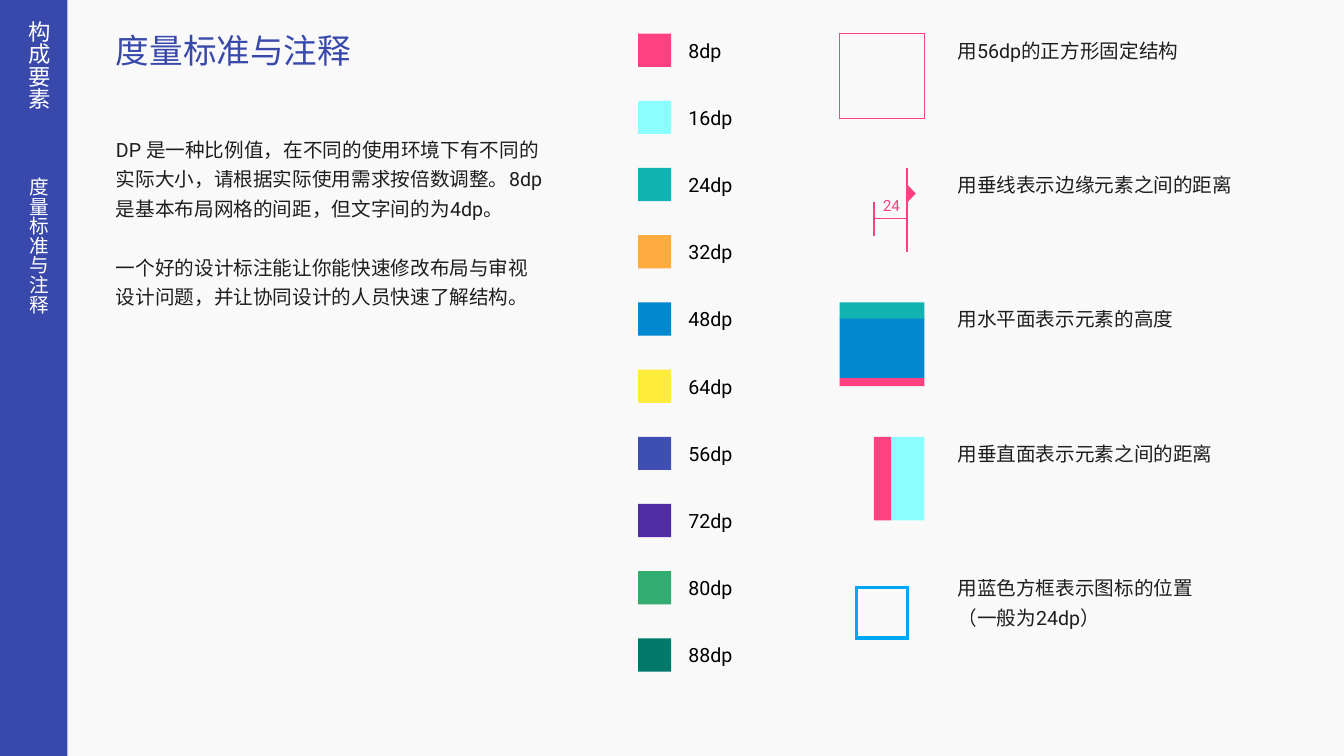
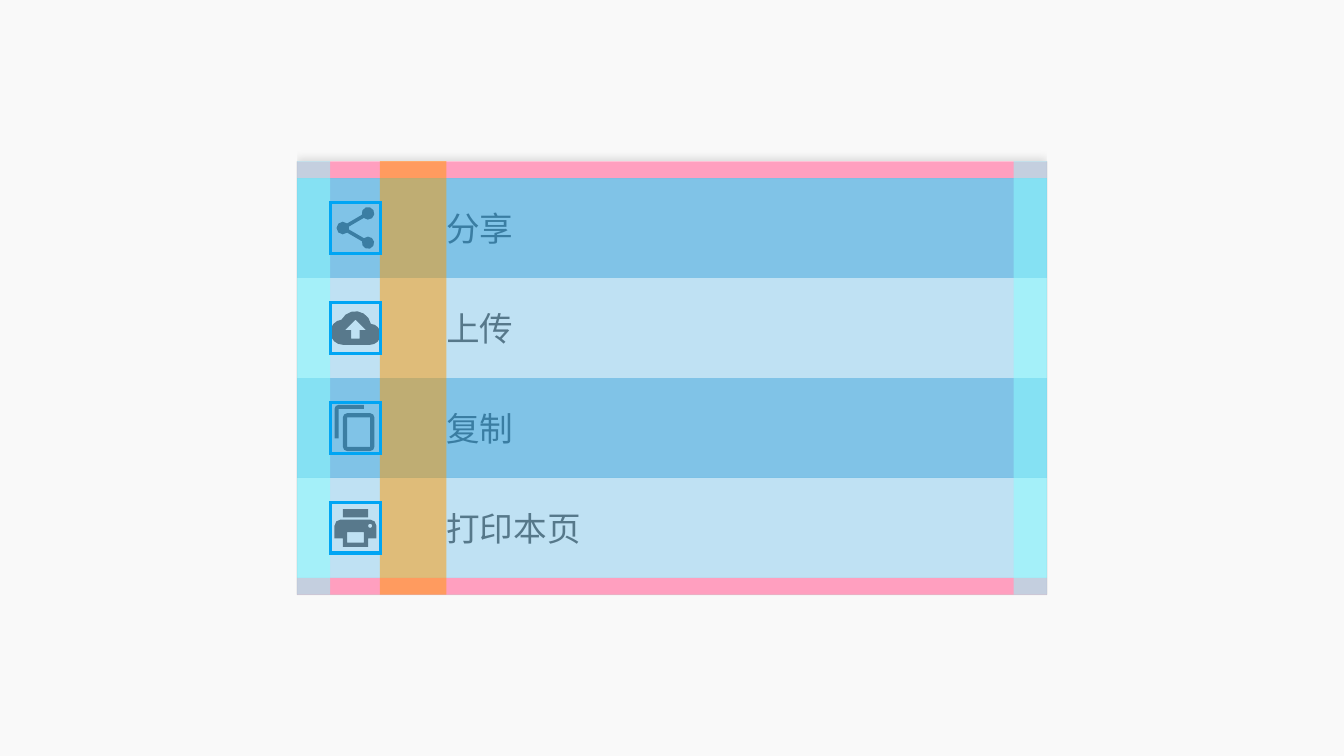
from dataclasses import dataclass
from math import ceil, cos, radians, sin

from lxml import etree
from pptx import Presentation
from pptx import util as u
from pptx.dml.color import RGBColor
from pptx.enum import shapes as kinds, text as te
from pptx.oxml.ns import qn

FACE = "Roboto"
PAPER, INK, WHITE = "F9F9F9", "000000", "FFFFFF"
INDIGO, PINK, CYAN, TEAL = "3949AB", "FF4081", "8BFFFF", "11B2B2"
BLUE, AMBER, FRAME = "0288D1", "FF9800", "00A5F4"
RECT = kinds.MSO_SHAPE.RECTANGLE
PITCH = u.Pt(21)
WIDE, HIGH = 40 / 3, 7.5  # slide, in inches
STEP = 2 / 3  # gap between swatches, in inches

Point = tuple[float, float]


@dataclass(frozen=True)
class Look:
    size: float
    color: str
    alpha: int = 100


@dataclass(frozen=True)
class Box:
    x: float
    y: float
    w: float
    h: float

    def place(self) -> list[int]:
        return [u.Inches(n) for n in (self.x, self.y, self.w, self.h)]


@dataclass(frozen=True)
class Item:
    label: str
    icon: list[list[Point]]


HEAD = Look(24, INDIGO)
BODY = Look(14, INK, 87)
LABEL = Look(14, INK)
MENU = Look(24, INK, 54)


def apply(target, values: dict) -> None:
    for name, value in values.items():
        setattr(target, name, value)


def paint(fill, color: str, alpha: int = 100) -> None:
    fill.solid()
    fill.fore_color.rgb = RGBColor.from_string(color)
    if alpha < 100:
        node = fill._xPr.find(qn("a:solidFill"))[0]
        etree.SubElement(node, qn("a:alpha"), val=str(alpha * 1000))


def write(frame, lines: list[str], look: Look, wrap: bool = False) -> None:
    apply(frame, {"word_wrap": wrap,
                  "auto_size": te.MSO_AUTO_SIZE.SHAPE_TO_FIT_TEXT,
                  "vertical_anchor": te.MSO_ANCHOR.TOP})
    for n, line in enumerate(lines):
        para = frame.paragraphs[0] if n == 0 else frame.add_paragraph()
        para.alignment = te.PP_ALIGN.LEFT
        run = para.add_run()
        run.text = line
        apply(run.font, {"name": FACE, "size": u.Pt(look.size)})
        paint(run.font.fill, look.color, look.alpha)
        etree.SubElement(run.font._element, qn("a:ea"), typeface=FACE)


def label(slide, box: Box, lines: list[str], look: Look, wrap: bool = False):
    shape = slide.shapes.add_textbox(*box.place())
    write(shape.text_frame, lines, look, wrap)
    return shape


def block(slide, box: Box, color: str, alpha: int = 100, kind=RECT):
    shape = slide.shapes.add_shape(kind, *box.place())
    shape.shadow.inherit = False
    paint(shape.fill, color, alpha)
    shape.line.fill.background()
    return shape


def frame(slide, box: Box, color: str, width: float) -> None:
    shape = slide.shapes.add_shape(RECT, *box.place())
    shape.shadow.inherit = False
    shape.fill.background()
    paint(shape.line.fill, color)
    shape.line.width = u.Pt(width)
    etree.SubElement(shape.line.fill._xPr, qn("a:miter"), lim="800000")


def rule(slide, start: Point, end: Point, color: str, width: float,
         alpha: int = 100) -> None:
    ends = [u.Inches(n) for n in (*start, *end)]
    line = slide.shapes.add_connector(kinds.MSO_CONNECTOR.STRAIGHT, *ends)
    paint(line.line.fill, color, alpha)
    line.line.width = u.Pt(width)
    etree.SubElement(line._element.spPr, qn("a:effectLst"))


def arc(x: float, y: float, r: float, start: float, end: float) -> list[Point]:
    """Points along an arc; angles in degrees, clockwise from the right."""
    count = ceil(abs(end - start) / (46 if r <= 3 else 24))
    turns = [radians(start + (end - start) * n / count) for n in range(count + 1)]
    return [(x + r * cos(t), y + r * sin(t)) for t in turns]


def oblong(x: float, y: float, right: float, low: float) -> list[Point]:
    return [(x, y), (right, y), (right, low), (x, low)]


# Icon outlines lie on a grid of 24 by 24 units.
SHARE = [arc(6, 12, 3, 13.5, -13.5) + arc(18, 5, 3, 133, -193.5)
         + arc(6, 12, 3, -47, -313) + arc(18, 19, 2.92, 193, -132)]
CLOUD = [arc(12, 11.5, 7.5, 207.5, 348.8) + arc(19, 15, 5, -86, 90)
         + arc(6, 14, 6, 90, 264),
         [(14, 13), (14, 17), (10, 17), (10, 13), (7, 13), (12, 8), (17, 13)]]
COPY = [[(16, 1)] + arc(4, 3, 2, 270, 180)
        + [(2, 17), (4, 17), (4, 3), (16, 3)],
        arc(8, 7, 2, 180, 270) + arc(19, 7, 2, 270, 360)
        + arc(19, 21, 2, 0, 90) + arc(8, 21, 2, 90, 180),
        oblong(8, 7, 19, 21)]
PRINT = [arc(5, 11, 3, 180, 270) + arc(19, 11, 3, 270, 360)
         + [(22, 17), (18, 17), (18, 21), (6, 21), (6, 17), (2, 17)],
         oblong(8, 14, 16, 19), arc(19, 11, 1, 0, 315), oblong(6, 3, 18, 7)]

ITEMS = [Item("分享", SHARE), Item("上传", CLOUD),
         Item("复制", COPY), Item("打印本页", PRINT)]

SCALE = [("8dp", PINK), ("16dp", CYAN), ("24dp", TEAL), ("32dp", "FFAB40"),
         ("48dp", BLUE), ("64dp", "FFEB3B"), ("56dp", "3E4FB1"),
         ("72dp", "4F2CA5"), ("80dp", "33AC71"), ("88dp", "00796B")]

NOTES = [["用56dp的正方形固定结构"], ["用垂线表示边缘元素之间的距离"],
         ["用水平面表示元素的高度"], ["用垂直面表示元素之间的距离"],
         ["用蓝色方框表示图标的位置", "（一般为24dp）"]]

PROSE = ["DP 是一种比例值，在不同的使用环境下有不同的实际大小，请根据实际使用需求按倍数调整。"
         "8dp是基本布局网格的间距，但文字间的为4dp。",
         "一个好的设计标注能让你能快速修改布局与审视设计问题，并让协同设计的人员快速了解结构。"]

TITLE = "度量标准与注释"


def glyph(slide, x: float, y: float, side: float, icon: list[list[Point]]) -> None:
    def spot(p: Point) -> Point:
        return u.Inches(x + p[0] * side / 24), u.Inches(y + p[1] * side / 24)

    pen = slide.shapes.build_freeform(*spot(icon[0][0]), scale=1.0)
    for n, ring in enumerate(icon):
        if n:
            pen.move_to(*spot(ring[0]))
        pen.add_line_segments([spot(p) for p in ring[1:]], close=True)
    shape = pen.convert_to_shape()
    shape.shadow.inherit = False
    paint(shape.fill, INK, 54)
    shape.line.fill.background()


def seat(holder, box: Box) -> None:
    apply(holder, dict(zip(("left", "top", "width", "height"), box.place())))


def prose(slide) -> None:
    title, body = slide.shapes.title, slide.placeholders[1]
    seat(title, Box(1.05, 0.25, 2.56, 0.5))
    write(title.text_frame, [TITLE], HEAD)
    seat(body, Box(1.05, 1.26, 4.48, 1.87))
    write(body.text_frame, PROSE, BODY, True)
    for n, para in enumerate(body.text_frame.paragraphs):
        apply(para, {"line_spacing": PITCH, "space_before": PITCH * n})
        props = para._p.get_or_add_pPr()
        props.set("marL", "0")
        props.set("indent", "0")
        etree.SubElement(props, qn("a:buNone"))


def samples(slide) -> None:
    """Draw the five ways of marking a measure."""
    left, side = 8.33, 0.84
    frame(slide, Box(left, STEP / 2, side, side), PINK, 1)
    for start, end in [((9, 1.67), (9, 2.5)), ((8.67, 2), (8.67, 2.34)),
                       ((8.67, 2.17), (9, 2.17))]:
        rule(slide, start, end, PINK, 1)
    label(slide, Box(8.66, 1.9, 0.37, 0.29), ["24"], Look(11, PINK))
    flag = block(slide, Box(8.96, 1.88, 0.17, 0.08), PINK,
                 kind=kinds.MSO_SHAPE.ISOSCELES_TRIANGLE)
    flag.rotation = 90
    fence = STEP * 6.5
    for box, color in [(Box(left, 3, side, 0.17), TEAL),
                       (Box(left, 3.16, side, 0.59), BLUE),
                       (Box(left, 3.75, side, 0.08), PINK),
                       (Box(8.84, fence, 0.33, 0.83), CYAN),
                       (Box(8.67, fence, 0.17, 0.83), PINK)]:
        block(slide, box, color)
    frame(slide, Box(8.5, 5.83, 0.5, 0.5), FRAME, 2.25)


def legend(deck) -> None:
    slide = deck.slides.add_slide(deck.slide_layouts[1])
    prose(slide)
    for n, (name, color) in enumerate(SCALE):
        y = (n + 0.5) * STEP
        block(slide, Box(6.33, y, 0.33, 0.33), color)
        label(slide, Box(6.73, y, 0.2 + 0.11 * len(name), 0.34), [name], LABEL)
    samples(slide)
    for n, lines in enumerate(NOTES):
        box = Box(9.4, (2 * n + 0.5) * STEP, 3 if n else 2.41, 0.34 * len(lines))
        note = label(slide, box, lines, BODY, True)
        for para in note.text_frame.paragraphs[1:]:
            para.line_spacing = PITCH
    block(slide, Box(0, 0, 0.67, HIGH), INDIGO)
    for box, line, size in [(Box(0.1, 0.11, 0.47, 1), "构成要素", 16),
                            (Box(0.11, 1.66, 0.44, 1.48), TITLE, 14)]:
        side = label(slide, box, [line], Look(size, WHITE))
        side.text_frame._txBody.bodyPr.set("vert", "eaVert")


def menu(deck) -> None:
    slide = deck.slides.add_slide(deck.slide_layouts[6])
    wide, high, top = 7.44, 4.3, 1.6
    left = (WIDE - wide) / 2
    right, low = left + wide, top + high
    edge, pad, side = 0.33, 1 / 6, 0.5
    row = (high - 2 * pad) / len(ITEMS)

    card = block(slide, Box(left, top, wide, high), WHITE)
    glow = etree.SubElement(card._element.spPr.find(qn("a:effectLst")),
                            qn("a:outerShdw"), blurRad=str(u.Pt(6)),
                            dist=str(u.Pt(1.5)), dir="16200000", rotWithShape="0")
    tint = etree.SubElement(glow, qn("a:srgbClr"), val=INK)
    etree.SubElement(tint, qn("a:alpha"), val="12000")

    rows = [top + pad + n * row for n in range(len(ITEMS))]
    tops = [y + (row - side) / 2 for y in rows]
    for y, item in zip(tops, ITEMS):
        glyph(slide, left + edge, y, side, item.icon)
    for y, item in zip(tops, ITEMS):
        box = Box(4.33, y, 0.22 + 0.33 * len(item.label), 0.5)
        label(slide, box, [item.label], MENU)

    for box in [Box(0, 0, left, HIGH), Box(right, 0, left, HIGH),
                Box(left, low, wide, HIGH - low)]:
        block(slide, box, PAPER)
    for start, end in [((left, top), (left, low)), ((right, top), (right, low)),
                       ((right, low), (left, low))]:
        rule(slide, start, end, INK, 0.5, 12)

    for y in (top, low - pad):
        block(slide, Box(left, y, wide, pad), PINK, 50)
    for n, y in enumerate(rows):
        block(slide, Box(left, y, wide, row), BLUE, 25 if n % 2 else 50)
    for x, w, color in [(left, edge, CYAN), (right - edge, edge, CYAN),
                        (3.77, 0.66, AMBER)]:
        block(slide, Box(x, top, w, high), color, 50)
    for y in tops:
        frame(slide, Box(left + edge, y, side, side), FRAME, 2.25)


def main() -> None:
    deck = Presentation()
    apply(deck, {"slide_width": u.Inches(WIDE), "slide_height": u.Inches(HIGH)})
    paint(deck.slide_master.background.fill, PAPER)
    legend(deck)
    menu(deck)
    deck.save("out.pptx")


if __name__ == "__main__":
    main()
